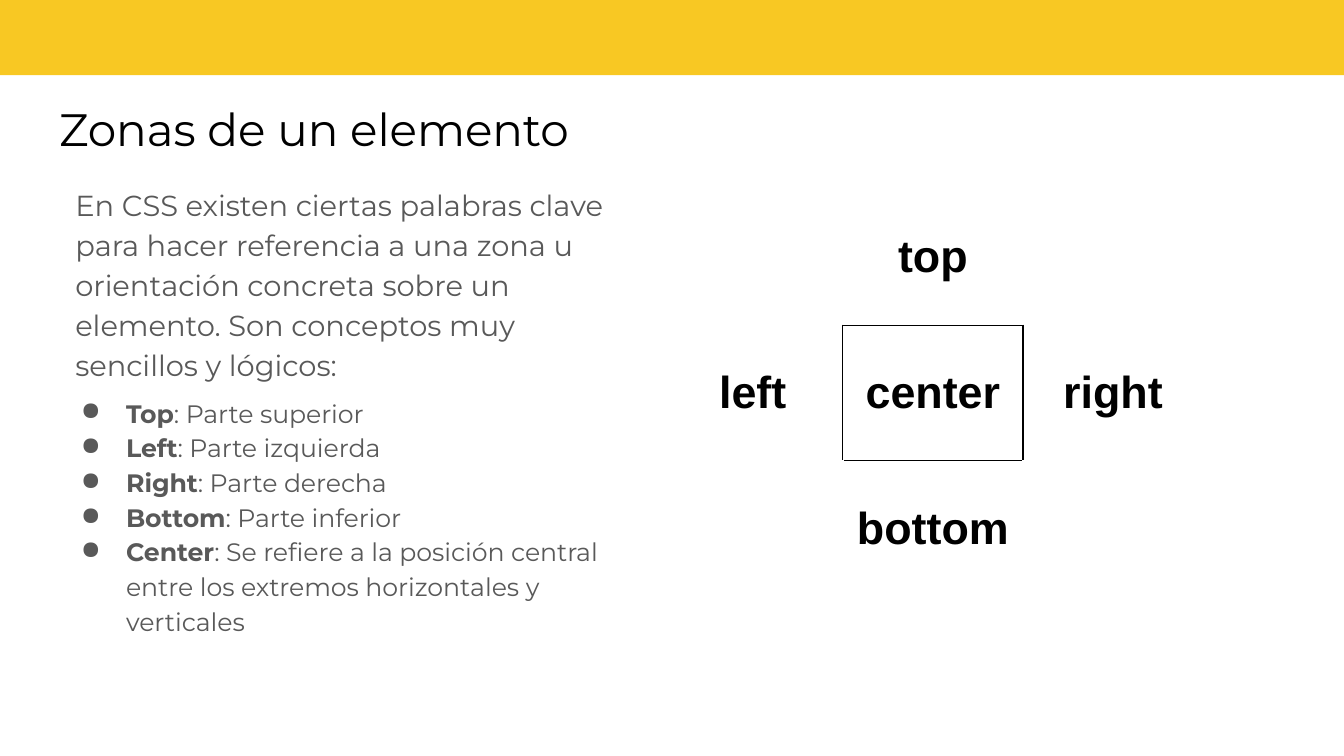
import pptx
import pptx.dml.color
import pptx.enum.shapes
import pptx.enum.text
import pptx.oxml
import pptx.oxml.ns
import pptx.util

Pt = pptx.util.Pt
RGBColor = pptx.dml.color.RGBColor
YELLOW = RGBColor(0xF8, 0xC8, 0x23)
GRAY = RGBColor(0x59, 0x59, 0x59)
BLACK = RGBColor(0, 0, 0)
WHITE = RGBColor(0xFF, 0xFF, 0xFF)

INTRO = ("En CSS existen ciertas palabras clave para hacer referencia a una zona u "
         "orientación concreta sobre un elemento. Son conceptos muy sencillos y lógicos:")
ZONES = [
    ("Top", "Parte superior"),
    ("Left", "Parte izquierda"),
    ("Right", "Parte derecha"),
    ("Bottom", "Parte inferior"),
    ("Center", "Se refiere a la posición central entre los extremos horizontales y verticales"),
]
ZONE_GRID = [["", "top", ""], ["left", "center", "right"], ["", "bottom", ""]]
CENTER_BORDERS = {(0, 1): "B", (1, 0): "R", (1, 1): "LRTB", (1, 2): "L", (2, 1): "T"}


def add_run(paragraph, text, size, font, color, bold=False):
    run = paragraph.add_run()
    run.text = text
    run.font.size = Pt(size)
    run.font.name = font
    run.font.bold = bold
    run.font.color.rgb = color


def set_insets(holder):
    for side in ("left", "right", "top", "bottom"):
        setattr(holder, f"margin_{side}", Pt(7.2))


def set_indent(paragraph, left, first=0, bullet=None):
    properties = paragraph._p.get_or_add_pPr()
    properties.set("marL", str(Pt(left)))
    properties.set("indent", str(Pt(first)))
    if bullet:
        namespace = pptx.oxml.ns.nsdecls("a")
        properties.append(pptx.oxml.parse_xml(
            f'<a:buClr {namespace}><a:srgbClr val="{GRAY}"/></a:buClr>'))
        properties.append(pptx.oxml.parse_xml(f'<a:buChar {namespace} char="{bullet}"/>'))


def add_band(slide):
    band = slide.shapes.add_shape(pptx.enum.shapes.MSO_SHAPE.RECTANGLE,
                                  Pt(-0.7), Pt(-3.6), Pt(722), Pt(43.9))
    band.shadow.inherit = False
    band.fill.solid()
    band.fill.fore_color.rgb = YELLOW
    band.line.fill.background()


def write_title(slide):
    title = slide.shapes.title
    title.left, title.top, title.width, title.height = Pt(24.5), Pt(46.8), Pt(671), Pt(45.4)
    frame = title.text_frame
    set_insets(frame)
    frame.word_wrap = True
    frame.auto_size = pptx.enum.text.MSO_AUTO_SIZE.NONE
    frame.vertical_anchor = pptx.enum.text.MSO_ANCHOR.TOP
    heading = frame.paragraphs[0]
    heading.alignment = pptx.enum.text.PP_ALIGN.LEFT
    add_run(heading, "Zonas de un elemento", 24.3, "Montserrat", BLACK)


def add_explanation(slide):
    frame = slide.shapes.add_textbox(Pt(24.5), Pt(90.7), Pt(314.6), Pt(269.3)).text_frame
    frame.word_wrap = True
    set_insets(frame)
    intro = frame.paragraphs[0]
    intro.line_spacing = 1.15
    set_indent(intro, 8.8)
    add_run(intro, INTRO, 15.5, "Montserrat", GRAY)
    for index, (zone, meaning) in enumerate(ZONES):
        item = frame.add_paragraph()
        item.line_spacing = 1.15
        item.space_before = Pt(0 if index else 6)
        set_indent(item, 36, -24.2, "●")
        add_run(item, zone, 13.5, "Montserrat", GRAY, True)
        add_run(item, f": {meaning}", 13.5, "Montserrat", GRAY)


def set_borders(cell, sides):
    properties = cell._tc.get_or_add_tcPr()
    for position, side in enumerate(side for side in "LRTB" if side in sides):
        properties.insert(position, pptx.oxml.parse_xml(
            f'<a:ln{side} {pptx.oxml.ns.nsdecls("a")} w="{Pt(0.75)}">'
            f'<a:solidFill><a:srgbClr val="{BLACK}"/></a:solidFill></a:ln{side}>'))


def add_zone_table(slide):
    zones = slide.shapes.add_table(3, 3, Pt(355), Pt(101.5), Pt(289.5), Pt(218.1)).table
    zones.first_row = False
    zones.horz_banding = False
    for column in zones.columns:
        column.width = Pt(96.5)
    for row in zones.rows:
        row.height = Pt(72.7)
    for row_index, labels in enumerate(ZONE_GRID):
        for column_index, label in enumerate(labels):
            cell = zones.cell(row_index, column_index)
            set_insets(cell)
            cell.vertical_anchor = pptx.enum.text.MSO_ANCHOR.MIDDLE
            if label == "center":
                cell.fill.solid()
                cell.fill.fore_color.rgb = WHITE
            else:
                cell.fill.background()
            set_borders(cell, CENTER_BORDERS.get((row_index, column_index), ""))
            if label:
                paragraph = cell.text_frame.paragraphs[0]
                paragraph.alignment = pptx.enum.text.PP_ALIGN.CENTER
                add_run(paragraph, label, 24, "Arial", BLACK, True)


def main():
    presentation = pptx.Presentation()
    presentation.slide_width = Pt(720)
    presentation.slide_height = Pt(405)
    slide = presentation.slides.add_slide(presentation.slide_layouts[5])
    add_band(slide)
    write_title(slide)
    add_explanation(slide)
    add_zone_table(slide)
    presentation.save("out.pptx")


if __name__ == "__main__":
    main()
